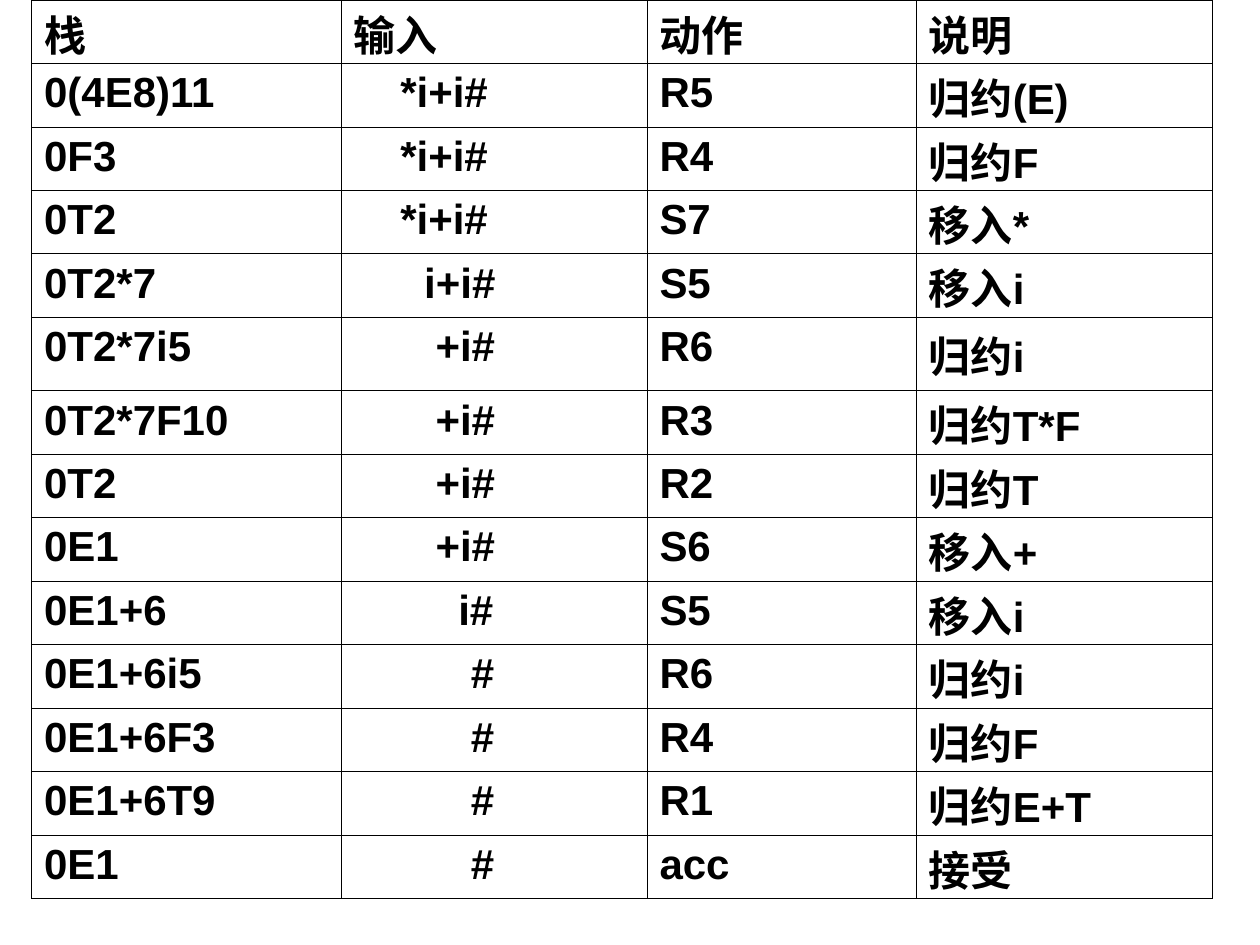
from dataclasses import dataclass

from lxml.etree import SubElement
from pptx import Presentation
from pptx.dml.color import RGBColor
from pptx.oxml.ns import qn
from pptx.util import Inches, Pt


@dataclass(frozen=True)
class Theme:
    """Colours, fonts, sizes and cell margins of the slide."""
    ink: str = "000000"
    head_font: str = "Times New Roman"
    body_font: str = "Arial"
    size: float = 24
    border: float = 0.45
    margin: float = 0.05
    tight_margin: float = 0.02


THEME = Theme()
COLUMNS = [2.46, 2.43, 2.14, 2.35]
ROW_HEIGHT, TALL_HEIGHT, TALL_ROW = 0.5, 0.57, 5
INPUT_COLUMN, NOTE_COLUMN = 1, 3
INDENTS = {"*i+i#": 0.37, "i+i#": 0.56, "+i#": 0.65, "i#": 0.83, "#": 0.93}
STEPS = [
    ("栈", "输入", "动作", "说明"),
    ("0(4E8)11", "*i+i#", "R5", "归约(E)"),
    ("0F3", "*i+i#", "R4", "归约F"),
    ("0T2", "*i+i#", "S7", "移入*"),
    ("0T2*7", "i+i#", "S5", "移入i"),
    ("0T2*7i5", "+i#", "R6", "归约i"),
    ("0T2*7F10", "+i#", "R3", "归约T*F"),
    ("0T2", "+i#", "R2", "归约T"),
    ("0E1", "+i#", "S6", "移入+"),
    ("0E1+6", "i#", "S5", "移入i"),
    ("0E1+6i5", "#", "R6", "归约i"),
    ("0E1+6F3", "#", "R4", "归约F"),
    ("0E1+6T9", "#", "R1", "归约E+T"),
    ("0E1", "#", "acc", "接受"),
]


def draw_borders(cell):
    """Rule all four sides of a cell."""
    tc_pr = cell._tc.get_or_add_tcPr()
    for side in ("lnL", "lnR", "lnT", "lnB"):
        ln = SubElement(tc_pr, qn(f"a:{side}"), w=str(int(Pt(THEME.border))))
        fill = SubElement(ln, qn("a:solidFill"))
        SubElement(fill, qn("a:srgbClr"), val=THEME.ink)


def write_cell(cell, text, font=THEME.body_font, indent=0, tight=False):
    """Put bold text in a ruled, unfilled cell."""
    draw_borders(cell)
    cell.fill.background()
    cell.margin_top = Inches(THEME.tight_margin if tight else THEME.margin)
    cell.margin_bottom = Inches(0 if tight else THEME.margin)
    p = cell.text_frame.paragraphs[0]
    if indent:
        p._p.get_or_add_pPr().set("marL", str(int(Inches(indent))))
    r = p.add_run()
    r.text = text
    r.font.name = font
    r.font.size = Pt(THEME.size)
    r.font.bold = True
    r.font.color.rgb = RGBColor.from_string(THEME.ink)


def add_parse_table(slide, left, top, width, height):
    """Place the table of parser steps in the given box."""
    frame = slide.shapes.add_table(len(STEPS), len(COLUMNS), Inches(left),
                                   Inches(top), Inches(width), Inches(height))
    table = frame.table
    table.first_row = table.horz_banding = False
    for column, share in zip(table.columns, COLUMNS):
        column.width = Inches(width * share / sum(COLUMNS))
    for i, (row, step) in enumerate(zip(table.rows, STEPS)):
        row.height = Inches(TALL_HEIGHT if i == TALL_ROW else ROW_HEIGHT)
        font = THEME.body_font if i else THEME.head_font
        for j, (cell, text) in enumerate(zip(row.cells, step)):
            indent = INDENTS.get(text, 0) if j == INPUT_COLUMN else 0
            tight = i == 0 or (j == NOTE_COLUMN and i != TALL_ROW)
            write_cell(cell, text, font=font, indent=indent, tight=tight)


def main():
    """Build and save the slide."""
    prs = Presentation()
    prs.slide_width, prs.slide_height = Inches(10), Inches(7.5)
    slide = prs.slides.add_slide(prs.slide_layouts[6])
    add_parse_table(slide, 0.25, 0, 9.37, 7.11)
    prs.save("out.pptx")


if __name__ == "__main__":
    main()
